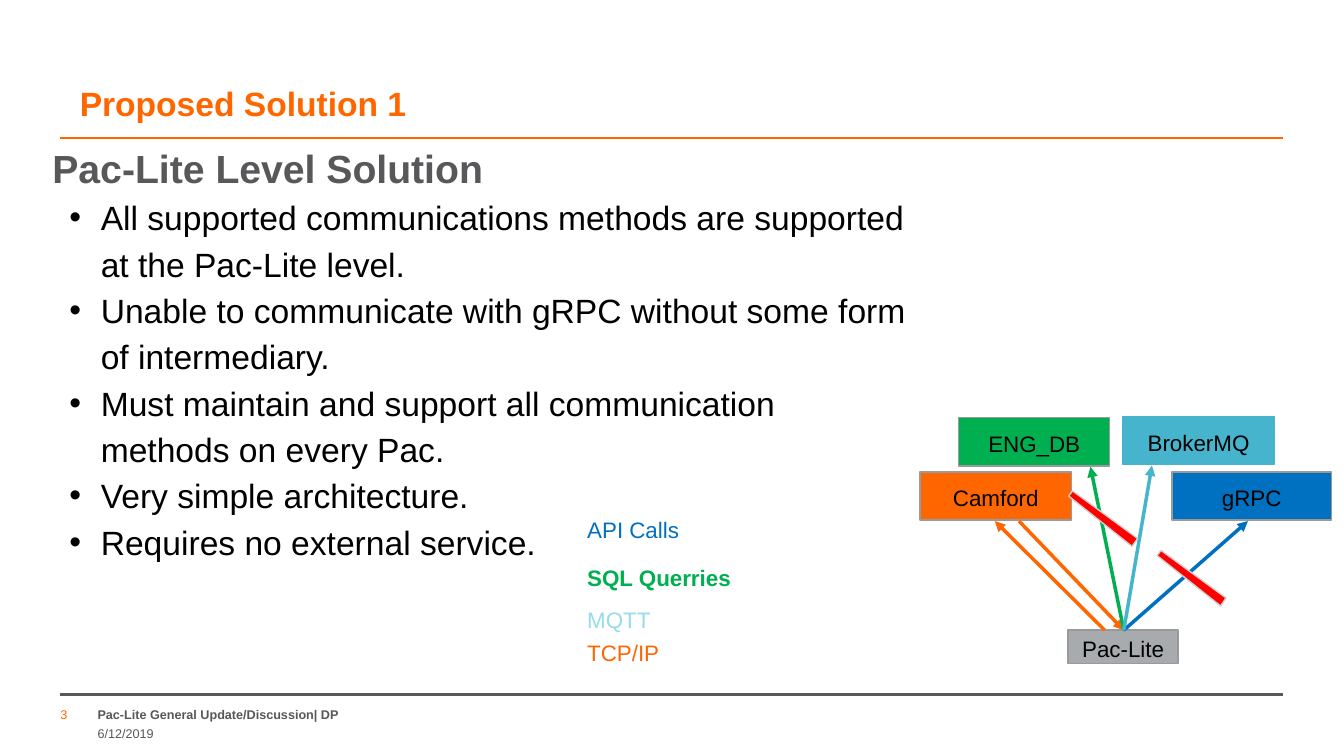
from dataclasses import dataclass
from typing import Any

from lxml.etree import SubElement
from pptx import Presentation
from pptx.dml.color import RGBColor
from pptx.enum.shapes import MSO_CONNECTOR, MSO_SHAPE
from pptx.enum.text import MSO_ANCHOR, MSO_AUTO_SIZE, PP_ALIGN
from pptx.oxml.ns import qn
from pptx.util import Cm, Pt

ORANGE = RGBColor(0xFF, 0x66, 0x00)
DARK_GREY = RGBColor(0x58, 0x58, 0x5A)
MID_GREY = RGBColor(0x9A, 0x9A, 0x9D)
LIGHT_GREY = RGBColor(0xA8, 0xAB, 0xAE)
PALE_GREY = RGBColor(0xD0, 0xD1, 0xD3)
GREEN = RGBColor(0x00, 0xB0, 0x50)
BLUE = RGBColor(0x00, 0x70, 0xC0)
TEAL = RGBColor(0x46, 0xB4, 0xCD)
PALE_TEAL = RGBColor(0x96, 0xDC, 0xEB)
RED = RGBColor(0xFF, 0x00, 0x00)
BLACK = RGBColor(0x00, 0x00, 0x00)

LINE_SPACING = 1.15
NO_INSETS = {f"margin_{side}": 0 for side in ("left", "top", "right", "bottom")}
PLAIN_FRAME = {**NO_INSETS, "word_wrap": True, "auto_size": MSO_AUTO_SIZE.NONE}
BOX_FRAME = {"vertical_anchor": MSO_ANCHOR.MIDDLE, "word_wrap": False}


@dataclass(frozen=True)
class Label:
    text: str
    left: float
    top: float
    width: float
    height: float
    color: RGBColor
    size: int = 16
    bold: bool = False


@dataclass(frozen=True)
class System:
    text: str
    left: float
    top: float
    width: float
    height: float
    fill: RGBColor
    outline: RGBColor = MID_GREY


@dataclass(frozen=True)
class Link:
    start: tuple[float, float]
    end: tuple[float, float]
    color: RGBColor
    weight: float = 2.5
    arrow: bool = True


PAC_TOP = (28.32, 15.88)

RULES = [
    Link((1.52, 3.48), (32.33, 3.48), ORANGE, 1.5, False),
    Link((1.52, 17.5), (32.33, 17.5), DARK_GREY, 1.5, False),
]
FOOTER = [
    Label("Pac-Lite General Update/Discussion| DP", 2.46, 17.81, 23.27, 0.46, DARK_GREY, 9, True),
    Label("6/12/2019", 2.46, 18.29, 23.27, 0.46, DARK_GREY, 9),
    Label("3", 1.52, 17.81, 0.81, 0.46, ORANGE, 9),
]
SYSTEMS = [
    System("Pac-Lite", 26.92, 15.88, 2.77, 0.84, LIGHT_GREY),
    System("Camford", 23.19, 11.89, 3.81, 1.22, ORANGE),
    System("ENG_DB", 24.16, 10.52, 3.81, 1.22, GREEN),
    System("gRPC", 29.54, 11.89, 4.01, 1.22, BLUE),
    System("BrokerMQ", 28.3, 10.49, 3.81, 1.22, TEAL, TEAL),
]
LINKS = [
    Link((25.68, 13.13), PAC_TOP, ORANGE),
    Link(PAC_TOP, (27.48, 11.76), GREEN),
    Link((27.84, 15.88), (25.07, 13.13), ORANGE),
    Link(PAC_TOP, (31.45, 13.13), BLUE),
    Link(PAC_TOP, (29.03, 11.73), TEAL),
]
LEGEND = [
    Label("API Calls", 14.55, 12.78, 3.48, 1.02, BLUE),
    Label("SQL Querries", 14.55, 14, 7.34, 0.94, GREEN, bold=True),
    Label("MQTT", 14.55, 15.04, 3.48, 0.94, PALE_TEAL),
    Label("TCP/IP", 14.55, 15.88, 3.48, 1.02, ORANGE),
]
SLASH_STARTS = [(29.26, 13.87), (27.03, 12.37)]
SLASH_OUTLINE = [(1.64, 1.2), (1.5, 1.4), (-0.1, 0.13)]
HEADING = "Pac-Lite Level Solution"
POINTS = [
    "All supported communications methods are supported at the Pac-Lite level.",
    "Unable to communicate with gRPC without some form of intermediary.",
    "Must maintain and support all communication methods on every Pac.",
    "Very simple architecture.",
    "Requires no external service.",
]


def apply_format(target: Any, values: dict[str, Any]) -> None:
    for attribute, value in values.items():
        setattr(target, attribute, value)


def write(paragraph: Any, text: str, size: int, color: RGBColor, bold: bool = False,
          align: PP_ALIGN = PP_ALIGN.LEFT, spacing: float = LINE_SPACING) -> None:
    apply_format(paragraph, {"alignment": align, "line_spacing": spacing,
                             "space_before": Pt(0), "space_after": Pt(0)})
    run = paragraph.add_run()
    run.text = text
    apply_format(run.font, {"name": "Arial", "size": Pt(size), "bold": bold})
    run.font.color.rgb = color


def place(shape: Any, left: float, top: float, width: float, height: float) -> None:
    apply_format(shape, {"left": Cm(left), "top": Cm(top),
                         "width": Cm(width), "height": Cm(height)})


def set_bullet(paragraph: Any, character: str, margin: float, indent: float) -> None:
    properties = paragraph._p.get_or_add_pPr()
    properties.set("marL", str(Cm(margin)))
    properties.set("indent", str(Cm(indent)))
    if character:
        SubElement(properties, qn("a:buFont")).set("typeface", "Arial")
        SubElement(properties, qn("a:buChar")).set("char", character)
    else:
        SubElement(properties, qn("a:buNone"))


def paint(shape: Any, fill: RGBColor, outline: RGBColor) -> None:
    shape.shadow.inherit = False
    shape.fill.solid()
    shape.fill.fore_color.rgb = fill
    shape.line.color.rgb = outline
    shape.line.width = Pt(1)


def draw_label(slide: Any, label: Label, frame_format: dict[str, Any],
               spacing: float = LINE_SPACING) -> None:
    box = slide.shapes.add_textbox(Cm(label.left), Cm(label.top),
                                   Cm(label.width), Cm(label.height))
    apply_format(box.text_frame, frame_format)
    write(box.text_frame.paragraphs[0], label.text, label.size, label.color,
          label.bold, spacing=spacing)


def draw_system(slide: Any, system: System) -> None:
    box = slide.shapes.add_shape(MSO_SHAPE.RECTANGLE, Cm(system.left), Cm(system.top),
                                 Cm(system.width), Cm(system.height))
    paint(box, system.fill, system.outline)
    apply_format(box.text_frame, BOX_FRAME)
    write(box.text_frame.paragraphs[0], system.text, 16, BLACK, align=PP_ALIGN.CENTER)


def draw_link(slide: Any, link: Link) -> None:
    connector = slide.shapes.add_connector(
        MSO_CONNECTOR.STRAIGHT, *map(Cm, link.start), *map(Cm, link.end))
    connector.line.color.rgb = link.color
    connector.line.width = Pt(link.weight)
    if link.arrow:
        SubElement(connector.line._get_or_add_ln(), qn("a:tailEnd")).set("type", "triangle")
    SubElement(connector._element.spPr, qn("a:effectLst"))


def draw_slash(slide: Any, left: float, top: float) -> None:
    builder = slide.shapes.build_freeform(Cm(left), Cm(top))
    builder.add_line_segments([(Cm(left + x), Cm(top + y)) for x, y in SLASH_OUTLINE])
    paint(builder.convert_to_shape(), RED, PALE_GREY)


def fill_placeholders(slide: Any) -> None:
    title, body = slide.placeholders
    place(title, 2.01, 1.93, 29.87, 1.17)
    apply_format(title.text_frame, {**PLAIN_FRAME, "vertical_anchor": MSO_ANCHOR.BOTTOM})
    write(title.text_frame.paragraphs[0], "Proposed Solution 1", 24, ORANGE, True)

    place(body, 1.32, 3.45, 21.59, 14.4)
    apply_format(body.text_frame, {**PLAIN_FRAME, "vertical_anchor": MSO_ANCHOR.TOP})
    heading = body.text_frame.paragraphs[0]
    write(heading, HEADING, 28, DARK_GREY, True)
    set_bullet(heading, "", 0, 0)
    for text in POINTS:
        point = body.text_frame.add_paragraph()
        point.level = 1
        write(point, text, 24, BLACK)
        set_bullet(point, "•", 1.22, -0.79)


def main() -> None:
    presentation = Presentation()
    apply_format(presentation, {"slide_width": Cm(33.87), "slide_height": Cm(19.05)})
    slide = presentation.slides.add_slide(presentation.slide_layouts[1])
    fill_placeholders(slide)
    for label in FOOTER:
        draw_label(slide, label, PLAIN_FRAME, 1)
    for label in LEGEND:
        draw_label(slide, label, {"word_wrap": True})
    for system in SYSTEMS:
        draw_system(slide, system)
    for link in RULES + LINKS:
        draw_link(slide, link)
    for start in SLASH_STARTS:
        draw_slash(slide, *start)
    presentation.save("out.pptx")


if __name__ == "__main__":
    main()
